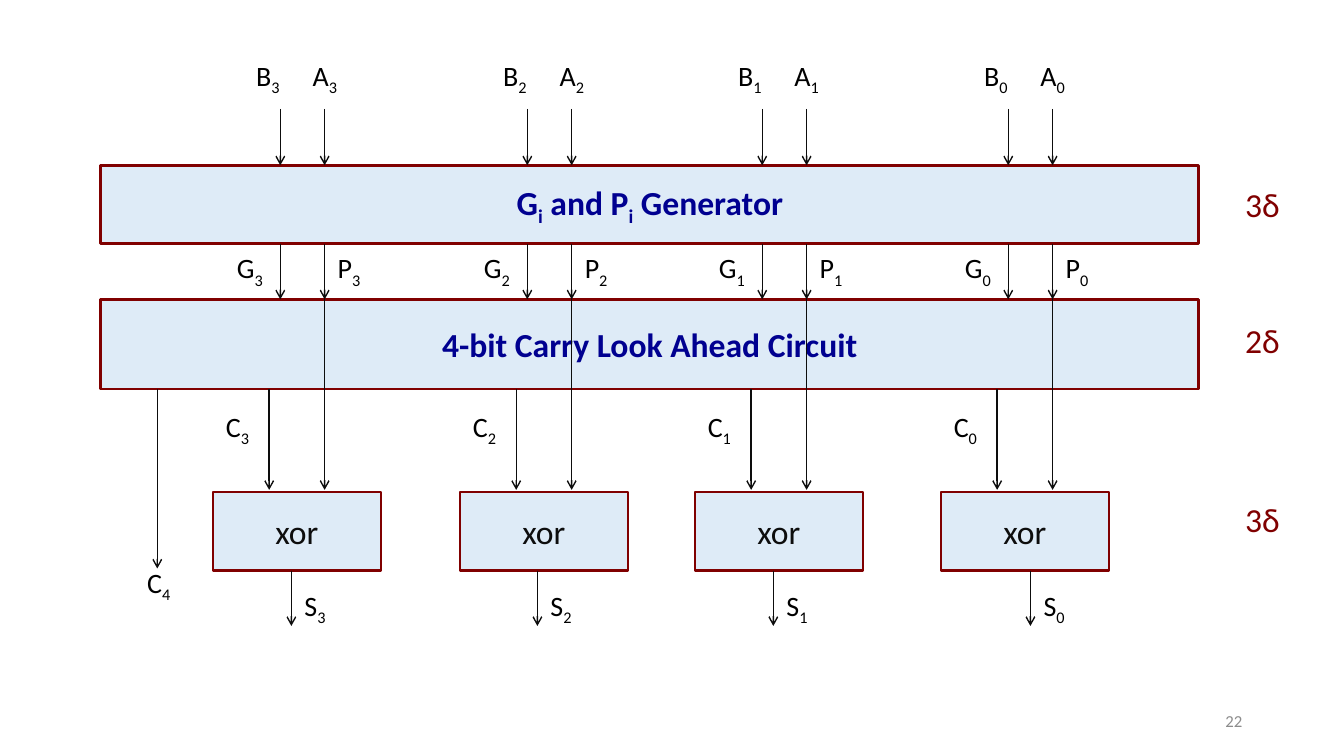
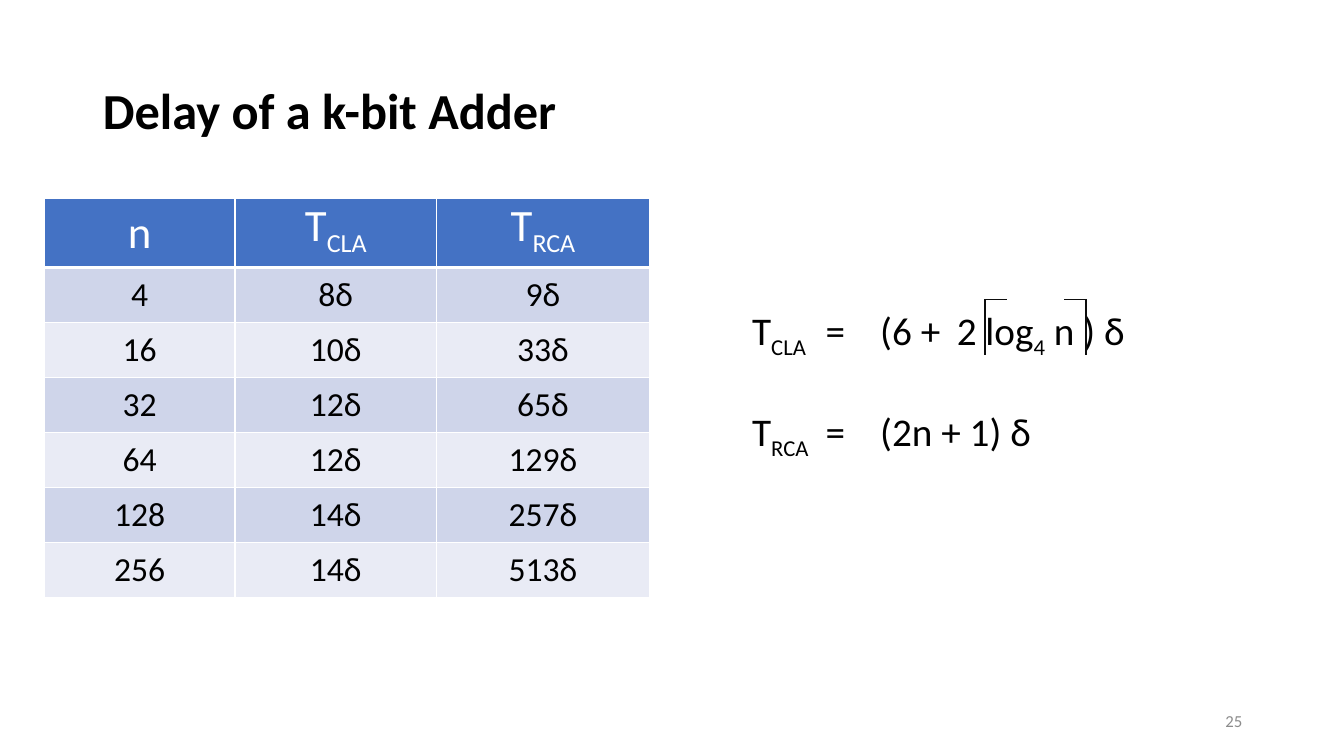
from lxml.etree import SubElement
from pptx import Presentation
from pptx.dml.color import RGBColor
from pptx.enum.shapes import MSO_CONNECTOR, MSO_SHAPE
from pptx.enum.text import MSO_ANCHOR, PP_ALIGN
from pptx.oxml import parse_xml
from pptx.oxml.ns import nsdecls, qn
from pptx.util import Inches, Pt

FONT = "Calibri"
BLACK = RGBColor(0x00, 0x00, 0x00)
INK = RGBColor(0x0D, 0x0D, 0x0D)
GRAY = RGBColor(0x8C, 0x8C, 0x8C)
WHITE = RGBColor(0xFF, 0xFF, 0xFF)
NAVY = RGBColor(0x00, 0x00, 0x90)
MAROON = RGBColor(0x80, 0x00, 0x00)
PALE_BLUE = RGBColor(0xDE, 0xEB, 0xF7)
HEADER_BLUE = RGBColor(0x44, 0x72, 0xC4)
BANDS = (RGBColor(0xCF, 0xD5, 0xEA), RGBColor(0xE9, 0xEB, 0xF5))

# Every text is a tuple that alternates plain and subscript pieces.
GENERATOR = ("G", "i", " and P", "i", " Generator")
LOOK_AHEAD = ("4-bit Carry Look Ahead Circuit",)
# Bit, x of its propagate line, x of its sum line
BITS = [("3", 3.22, 2.89), ("2", 5.67, 5.33), ("1", 8, 7.67), ("0", 10.44, 10.22)]
STAGE_DELAYS = [("3δ", 1.75), ("2δ", 3.1), ("3δ", 4.88)]

# Top and bottom of each stage of the adder
INPUT_TOP = 1.08
GENERATOR_TOP, GENERATOR_BOTTOM = 1.64, 2.42
CARRY_TOP, CARRY_BOTTOM = 2.97, 3.86
XOR_TOP, XOR_BOTTOM = 4.88, 5.66
XOR_ENTRY, SUM_END = 4.86, 6.21

TITLE = "Delay of a k-bit Adder"
HEADER = [("n",), ("T", "CLA"), ("T", "RCA")]
DELAYS = [
    ("4", "8δ", "9δ"),
    ("16", "10δ", "33δ"),
    ("32", "12δ", "65δ"),
    ("64", "12δ", "129δ"),
    ("128", "14δ", "257δ"),
    ("256", "14δ", "513δ"),
]
COLUMN_WIDTHS = (1.89, 2, 2.11)
HEADER_HEIGHT, ROW_HEIGHT = 0.67, 0.54
FORMULAS = [
    (("T", "CLA", "\t=\t(6 +\t2 log", "4", " n ) δ"), 2.97),
    (("T", "RCA", "\t=\t(2n + 1) δ"), 3.97),
]
FORMULA_TABS = (0.73, 1.27, 2.03)
# Outer x and inner x of the two ceiling brackets
CEILING = [(9.77, 9.99), (10.77, 10.55)]
CEILING_TOP, CEILING_BOTTOM = 2.97, 3.52


def add_runs(para, pieces, size, color, bold=False):
    for index, piece in enumerate(pieces):
        span = para.add_run()
        span.text = piece
        span.font.name = FONT
        span.font.size = Pt(size)
        span.font.bold = bold
        span.font.color.rgb = color
        if index % 2:
            span._r.get_or_add_rPr().set("baseline", "-25000")


def set_margins(holder, top=0.07):
    holder.margin_left = holder.margin_right = Inches(0.13)
    holder.margin_top, holder.margin_bottom = Inches(top), Inches(0.07)


def add_label(slide, pieces, left, top, size=20, color=BLACK, width=0.67, height=0.47, tabs=()):
    box = slide.shapes.add_textbox(Inches(left), Inches(top), Inches(width), Inches(height))
    frame = box.text_frame
    frame.word_wrap = True
    set_margins(frame)
    para = frame.paragraphs[0]
    if tabs:
        tab_list = SubElement(para._p.get_or_add_pPr(), qn("a:tabLst"))
        for stop in tabs:
            SubElement(tab_list, qn("a:tab"), pos=str(Inches(stop)), algn="l")
    add_runs(para, pieces, size, color)


def add_block(slide, pieces, left, top, width, height, border, color, bold):
    block = slide.shapes.add_shape(
        MSO_SHAPE.RECTANGLE, Inches(left), Inches(top), Inches(width), Inches(height))
    block.shadow.inherit = False
    block.fill.solid()
    block.fill.fore_color.rgb = PALE_BLUE
    block.line.color.rgb = MAROON
    block.line.width = Pt(border)
    frame = block.text_frame
    frame.vertical_anchor = MSO_ANCHOR.MIDDLE
    set_margins(frame)
    para = frame.paragraphs[0]
    para.alignment = PP_ALIGN.CENTER
    add_runs(para, pieces, 24, color, bold)


def add_line(slide, x1, y1, x2, y2):
    line = slide.shapes.add_connector(
        MSO_CONNECTOR.STRAIGHT, Inches(x1), Inches(y1), Inches(x2), Inches(y2))
    line.line.color.rgb = INK
    line.line.width = Pt(1)
    SubElement(line._element.spPr, qn("a:effectLst"))
    return line


def add_down_arrow(slide, x, top, bottom):
    arrow = add_line(slide, x, top, x, bottom)
    SubElement(arrow.line._get_or_add_ln(), qn("a:tailEnd"), type="arrow")


def add_page_number(slide, number):
    box = slide.shapes.add_textbox(Inches(9.42), Inches(6.95), Inches(3), Inches(0.4))
    frame = box.text_frame
    frame.word_wrap = True
    frame.vertical_anchor = MSO_ANCHOR.MIDDLE
    para = frame.paragraphs[0]
    para.alignment = PP_ALIGN.RIGHT
    add_runs(para, (number,), 12, GRAY)


def fill_cell(cell, pieces, size, color, fill, top_margin=0.07, bottom_border=1):
    set_margins(cell, top_margin)
    para = cell.text_frame.paragraphs[0]
    para.alignment = PP_ALIGN.CENTER
    add_runs(para, pieces, size, color)
    cell.fill.solid()
    cell.fill.fore_color.rgb = fill
    borders = (("lnL", 1), ("lnR", 1), ("lnT", 1), ("lnB", bottom_border))
    for position, (side, width) in enumerate(borders):
        cell._tc.get_or_add_tcPr().insert(position, parse_xml(
            f'<a:{side} {nsdecls("a")} w="{Pt(width)}"><a:solidFill>'
            f'<a:srgbClr val="{WHITE}"/></a:solidFill></a:{side}>'))


def add_bit(slide, bit, x, sum_x):
    """Draw the column of one bit, from its inputs to its sum."""
    generate_x, carry_x = x - 0.44, x - 0.55
    add_block(slide, ("xor",), x - 1.11, XOR_TOP, 1.67, XOR_BOTTOM - XOR_TOP, 1.5, INK, False)
    arrows = [
        (generate_x, INPUT_TOP, GENERATOR_TOP),
        (x, INPUT_TOP, GENERATOR_TOP),
        (generate_x, GENERATOR_BOTTOM, CARRY_TOP),
        (x, GENERATOR_BOTTOM, CARRY_TOP),
        (carry_x, CARRY_BOTTOM, XOR_ENTRY),
        (x, CARRY_TOP, XOR_ENTRY),
        (sum_x, XOR_BOTTOM, SUM_END),
    ]
    for arrow in arrows:
        add_down_arrow(slide, *arrow)
    labels = [
        ("B", x - 0.81, 0.51),
        ("A", x - 0.25, 0.51),
        ("G", x - 1, GENERATOR_BOTTOM),
        ("P", x, GENERATOR_BOTTOM),
        ("C", x - 1.11, 3.99),
        ("S", sum_x, 5.77),
    ]
    for letter, left, top in labels:
        add_label(slide, (letter, bit), left, top)


def build_adder_slide(deck):
    slide = deck.slides.add_slide(deck.slide_layouts[6])
    for pieces, top, bottom in ((GENERATOR, GENERATOR_TOP, GENERATOR_BOTTOM),
                                (LOOK_AHEAD, CARRY_TOP, CARRY_BOTTOM)):
        add_block(slide, pieces, 1, top, 10.89, bottom - top, 2, NAVY, True)
    for bit in BITS:
        add_bit(slide, *bit)
    add_down_arrow(slide, 1.56, CARRY_BOTTOM, 5.64)
    add_label(slide, ("C", "4"), 1.33, 5.54)
    for delay, top in STAGE_DELAYS:
        add_label(slide, (delay,), 12.22, top, 24, MAROON, height=0.54)
    add_page_number(slide, "22")


def build_delay_slide(deck):
    slide = deck.slides.add_slide(deck.slide_layouts[5])
    title = slide.shapes.title
    title.left, title.top = Inches(0.92), Inches(0.4)
    title.width, title.height = Inches(11.5), Inches(1.45)
    title.text_frame.vertical_anchor = MSO_ANCHOR.MIDDLE
    para = title.text_frame.paragraphs[0]
    para.alignment = PP_ALIGN.LEFT
    para.line_spacing = 0.9
    add_runs(para, (TITLE,), 36, BLACK, True)

    table = slide.shapes.add_table(
        len(DELAYS) + 1, len(HEADER), Inches(0.44), Inches(1.97),
        Inches(sum(COLUMN_WIDTHS)), Inches(HEADER_HEIGHT + ROW_HEIGHT * len(DELAYS))).table
    for column, width in zip(table.columns, COLUMN_WIDTHS):
        column.width = Inches(width)
    for index, row in enumerate(table.rows):
        row.height = Inches(ROW_HEIGHT if index else HEADER_HEIGHT)
    for column, pieces in enumerate(HEADER):
        top_margin = 0 if len(pieces) > 1 else 0.07
        fill_cell(table.cell(0, column), pieces, 32, WHITE, HEADER_BLUE, top_margin, 3)
    for index, values in enumerate(DELAYS):
        for column, value in enumerate(values):
            fill_cell(table.cell(index + 1, column), (value,), 24, BLACK, BANDS[index % 2])

    for pieces, top in FORMULAS:
        add_label(slide, pieces, 7.33, top, 28, width=4.89, height=0.61, tabs=FORMULA_TABS)
    for outer, inner in CEILING:
        add_line(slide, outer, CEILING_BOTTOM, outer, CEILING_TOP)
        add_line(slide, outer, CEILING_TOP, inner, CEILING_TOP)
    add_page_number(slide, "25")


def main():
    deck = Presentation()
    deck.slide_width, deck.slide_height = Inches(13.33), Inches(7.5)
    build_adder_slide(deck)
    build_delay_slide(deck)
    deck.save("out.pptx")


if __name__ == "__main__":
    main()
